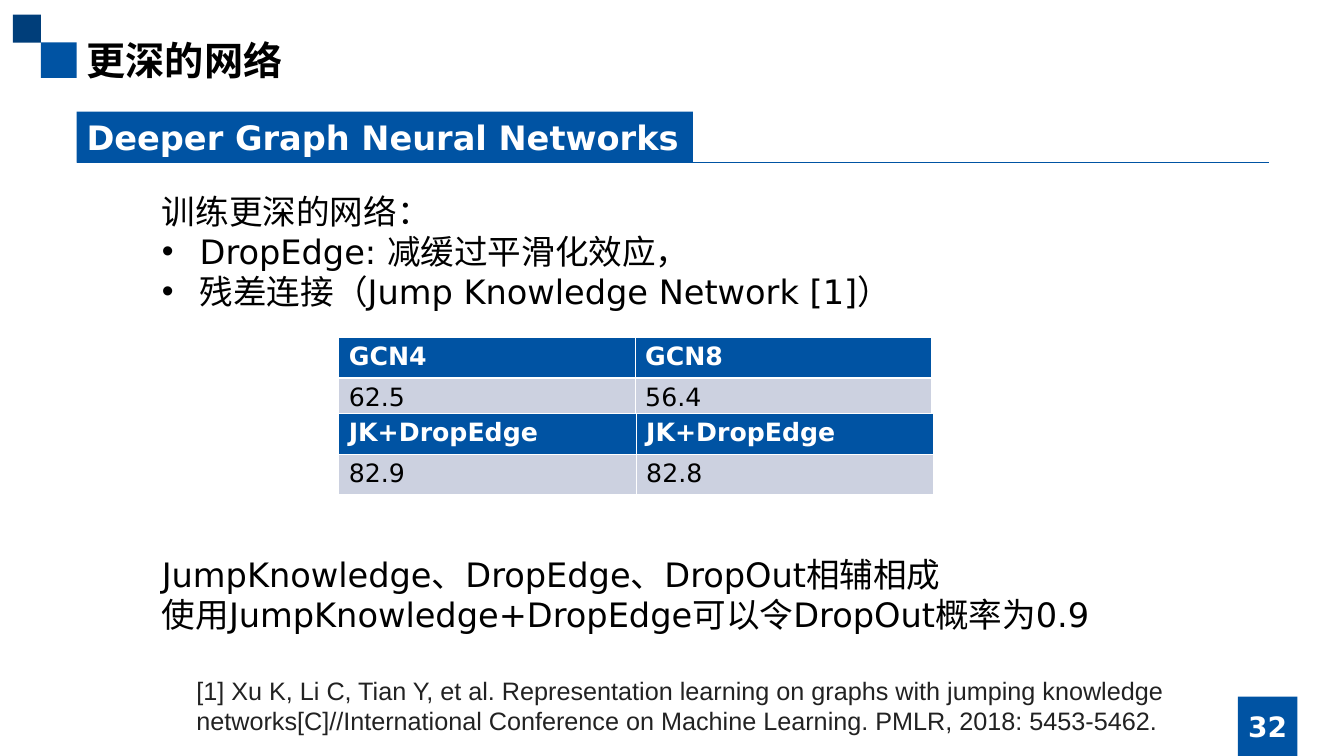
from dataclasses import dataclass

from lxml import etree
from pptx import Presentation
from pptx.dml.color import RGBColor
from pptx.enum import shapes, text
from pptx.oxml import ns
from pptx.util import Pt


@dataclass(frozen=True)
class Theme:
    blue: str = "0053A3"
    navy: str = "003E7A"
    band: str = "CCD1E0"
    white: str = "FFFFFF"
    black: str = "000000"
    grey: str = "222222"
    latin: str = "DejaVu Sans"
    cjk: str = "Noto Sans CJK SC"
    citation: str = "Arial"
    title_size: int = 28
    body_size: int = 24
    number_size: int = 20
    small_size: int = 18


THEME = Theme()


def style(p, size, color, bold=False, font=THEME.latin):
    f = p.font
    f.name, f.size, f.bold = font, Pt(size), bold
    f.color.rgb = RGBColor.from_string(color)
    ea = etree.Element(ns.qn("a:ea"), typeface=THEME.cjk)
    p._p.pPr.find(ns.qn("a:defRPr")).find(ns.qn("a:latin")).addnext(ea)


def place(s, left, top, width, height):
    s.left, s.top, s.width, s.height = map(Pt, (left, top, width, height))


def add_bullet(p, indent=27):
    pPr = p._p.get_or_add_pPr()
    pPr.set("marL", str(Pt(indent)))
    pPr.set("indent", str(-Pt(indent)))
    font = etree.Element(ns.qn("a:buFont"), typeface="Arial")
    char = etree.Element(ns.qn("a:buChar"), char="•")
    pPr.insert(0, font)
    font.addnext(char)


def add_title(slide, title):
    s = slide.shapes.title
    place(s, 54.7, 22.3, 850, 41)
    tf = s.text_frame
    tf.text = title
    tf.auto_size = text.MSO_AUTO_SIZE.NONE
    tf.vertical_anchor = text.MSO_ANCHOR.TOP
    p = tf.paragraphs[0]
    p.alignment = text.PP_ALIGN.LEFT
    style(p, THEME.title_size, THEME.black, True, THEME.cjk)


def add_block(slide, left, top, width, height, color):
    s = slide.shapes.add_shape(
        shapes.MSO_SHAPE.RECTANGLE, Pt(left), Pt(top), Pt(width), Pt(height))
    s.shadow.inherit = False
    s.fill.solid()
    s.fill.fore_color.rgb = RGBColor.from_string(color)
    s.line.fill.background()
    return s


def add_label(s, label, size, align, anchor, margin):
    tf = s.text_frame
    tf.word_wrap = False
    tf.margin_left = tf.margin_right = Pt(margin)
    tf.vertical_anchor = anchor
    p = tf.paragraphs[0]
    p.text = label
    p.alignment = align
    style(p, size, THEME.white, True)


def add_rule(slide, left, right, y):
    s = slide.shapes.add_connector(
        shapes.MSO_CONNECTOR.STRAIGHT, Pt(left), Pt(y), Pt(right), Pt(y))
    s.line.color.rgb = RGBColor.from_string(THEME.blue)
    s.line.width = Pt(0.5)
    etree.SubElement(s._element.spPr, ns.qn("a:effectLst"))


def add_text(slide, box, lines, size, color, font=THEME.latin, bullets=()):
    tf = slide.shapes.add_textbox(*map(Pt, box)).text_frame
    tf.word_wrap = True
    for i, line in enumerate(lines):
        p = tf.add_paragraph() if i else tf.paragraphs[0]
        p.text = line
        style(p, size, color, font=font)
        if i in bullets:
            add_bullet(p)


def add_results(slide, top, col_width, rows, left=242, row_height=29.2):
    table = slide.shapes.add_table(
        len(rows), len(rows[0]), Pt(left), Pt(top),
        Pt(col_width * len(rows[0])), Pt(row_height * len(rows))).table
    for r, row in enumerate(rows):
        header = r == 0
        for c, value in enumerate(row):
            cell = table.cell(r, c)
            cell.text = value
            cell.fill.solid()
            cell.fill.fore_color.rgb = RGBColor.from_string(
                THEME.blue if header else THEME.band)
            style(cell.text_frame.paragraphs[0], THEME.small_size,
                  THEME.white if header else THEME.black, header)


def main():
    prs = Presentation()
    prs.slide_width, prs.slide_height = Pt(960), Pt(540)
    slide = prs.slides.add_slide(prs.slide_layouts[5])

    add_block(slide, 29.3, 30.3, 25.4, 25.4, THEME.blue)
    add_block(slide, 9.3, 10.5, 20, 20, THEME.navy)
    add_title(slide, "更深的网络")

    number = add_block(slide, 884.2, 497.5, 42.5, 42.5, THEME.blue)
    add_label(number, "32", THEME.number_size, text.PP_ALIGN.CENTER,
              text.MSO_ANCHOR.MIDDLE, 0)
    banner = add_block(slide, 54.7, 79.8, 440.3, 36.3, THEME.blue)
    add_label(banner, "Deeper Graph Neural Networks", THEME.body_size,
              text.PP_ALIGN.LEFT, text.MSO_ANCHOR.TOP, 7.2)
    add_rule(slide, 54.7, 906.5, 116.1)

    add_text(slide, (108.5, 132.5, 851.5, 95),
             ["训练更深的网络：",
              "DropEdge: 减缓过平滑化效应，",
              "残差连接（Jump Knowledge Network [1]）"],
             THEME.body_size, THEME.black, bullets=(1, 2))
    add_results(slide, 240.8, 211.7, [["GCN4", "GCN8"], ["62.5", "56.4"]])
    add_results(slide, 295.2, 212.4,
                [["JK+DropEdge", "JK+DropEdge"], ["82.9", "82.8"]])
    add_text(slide, (108.5, 392, 851.5, 66),
             ["JumpKnowledge、DropEdge、DropOut相辅相成",
              "使用JumpKnowledge+DropEdge可以令DropOut概率为0.9"],
             THEME.body_size, THEME.black)
    add_text(slide, (133.2, 479, 723.6, 51),
             ["[1] Xu K, Li C, Tian Y, et al. Representation learning on graphs "
              "with jumping knowledge networks[C]//International Conference on "
              "Machine Learning. PMLR, 2018: 5453-5462."],
             THEME.small_size, THEME.grey, THEME.citation)

    prs.save("out.pptx")


if __name__ == "__main__":
    main()
